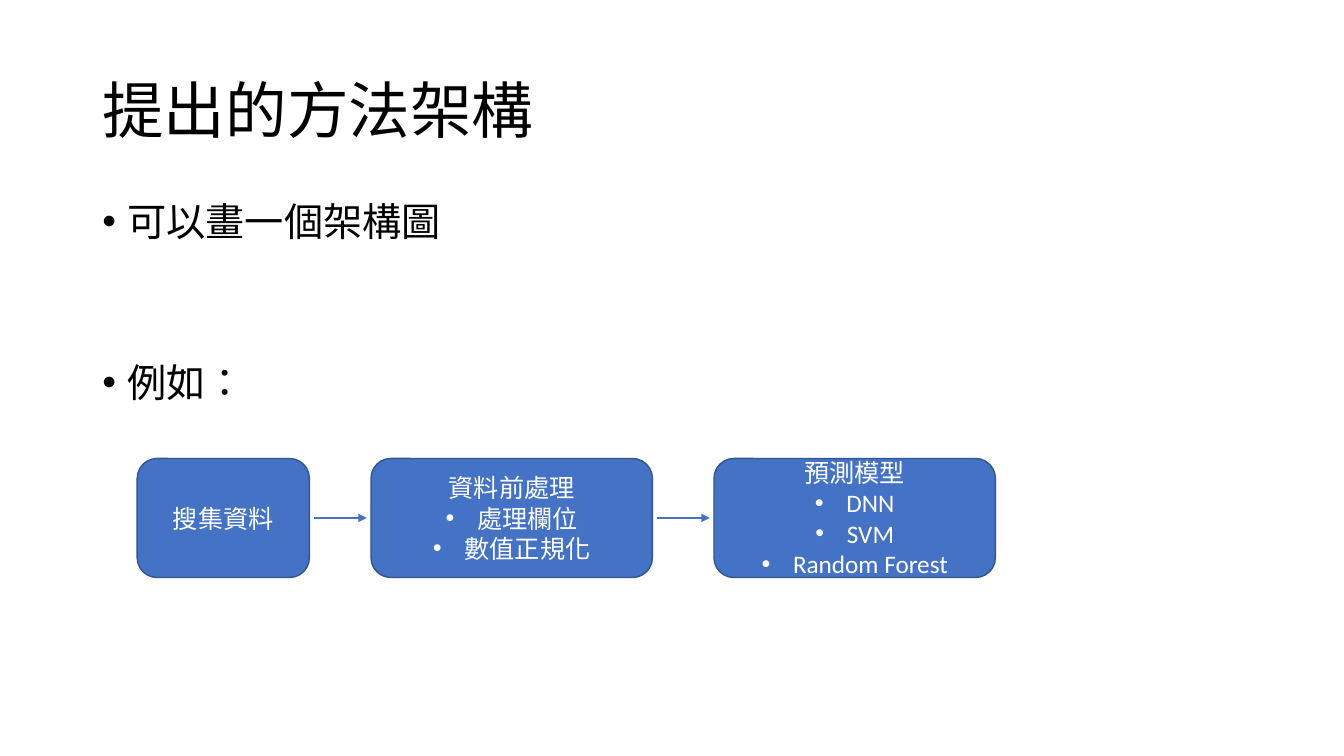
from dataclasses import dataclass

from lxml.etree import SubElement
from pptx import Presentation
from pptx.dml.color import RGBColor
from pptx.enum.shapes import MSO_CONNECTOR as Connector, MSO_SHAPE as Preset
from pptx.enum.text import MSO_ANCHOR as Anchor, PP_ALIGN as Align
from pptx.oxml.ns import qn
from pptx.util import Pt


@dataclass(frozen=True)
class Theme:
    text: RGBColor = RGBColor(0x00, 0x00, 0x00)
    step_text: RGBColor = RGBColor(0xFF, 0xFF, 0xFF)
    step_fill: RGBColor = RGBColor(0x44, 0x72, 0xC4)
    step_line: RGBColor = RGBColor(0x32, 0x54, 0x91)
    heading_font: str = "Noto Sans CJK TC"
    step_font: str = "Calibri"
    title_size: int = 44
    body_size: int = 28
    step_size: int = 18


THEME = Theme()

STEPS = [
    (123, "搜集資料", []),
    (201, "資料前處理", ["處理欄位", "數值正規化"]),
    (201, "預測模型", ["DNN", "SVM", "Random Forest"]),
]
FLOW_LEFT, FLOW_TOP = 98, 327.5
STEP_HEIGHT, STEP_GAP, ARROW_MARGIN = 85, 44, 3


def style_text(para, font_name, size, color):
    """Format every run, using one font for Latin and East Asian text."""
    for span in para.runs:
        span.font.name = font_name
        span.font.size = Pt(size)
        span.font.color.rgb = color
        properties = span.font._element
        properties.set("lang", "zh-TW")
        east_asian = SubElement(properties, qn("a:ea"))
        east_asian.set("typeface", font_name)


def add_bullet(para, indent):
    properties = para._p.get_or_add_pPr()
    properties.set("marL", str(Pt(indent)))
    properties.set("indent", str(-Pt(indent)))
    SubElement(properties, qn("a:buFont")).set("typeface", "Arial")
    SubElement(properties, qn("a:buChar")).set("char", "•")


def add_text_box(page, top, height, lines, anchor):
    box = page.shapes.add_textbox(Pt(66), Pt(top), Pt(828), Pt(height))
    frame = box.text_frame
    frame.word_wrap = True
    frame.vertical_anchor = anchor
    frame.text = "\n".join(lines)
    return frame.paragraphs


def add_title(page, text):
    para, = add_text_box(page, 28.8, 104.4, [text], Anchor.MIDDLE)
    para.line_spacing = 0.9
    style_text(para, THEME.heading_font, THEME.title_size, THEME.text)


def add_body(page, lines, gap):
    paras = add_text_box(page, 144, 342.7, lines, Anchor.TOP)
    for index, para in enumerate(paras):
        para.line_spacing = 0.8
        para.space_before = Pt(gap if index else 0)
        add_bullet(para, 18)
        style_text(para, THEME.heading_font, THEME.body_size, THEME.text)


def add_step(page, left, width, heading, items):
    step = page.shapes.add_shape(
        Preset.ROUNDED_RECTANGLE, Pt(left), Pt(FLOW_TOP), Pt(width), Pt(STEP_HEIGHT)
    )
    step.shadow.inherit = False
    step.fill.solid()
    step.fill.fore_color.rgb = THEME.step_fill
    step.line.color.rgb = THEME.step_line
    step.line.width = Pt(1)
    frame = step.text_frame
    frame.word_wrap = True
    frame.vertical_anchor = Anchor.MIDDLE
    frame.text = "\n".join([heading, *items])
    for index, para in enumerate(frame.paragraphs):
        para.alignment = Align.CENTER
        if index:
            add_bullet(para, 22.5)
        style_text(para, THEME.step_font, THEME.step_size, THEME.step_text)


def add_arrow(page, start, end):
    middle = Pt(FLOW_TOP + STEP_HEIGHT / 2)
    arrow = page.shapes.add_connector(
        Connector.STRAIGHT, Pt(start), middle, Pt(end), middle
    )
    arrow.line.color.rgb = THEME.step_fill
    arrow.line.width = Pt(1.5)
    SubElement(arrow.line._get_or_add_ln(), qn("a:tailEnd")).set("type", "triangle")
    SubElement(arrow._element.spPr, qn("a:effectLst"))


def add_flow(page, steps):
    left = FLOW_LEFT
    for index, (width, heading, items) in enumerate(steps):
        if index:
            add_arrow(page, left - STEP_GAP + ARROW_MARGIN, left - ARROW_MARGIN)
        add_step(page, left, width, heading, items)
        left += width + STEP_GAP


def main():
    deck = Presentation()
    deck.slide_width, deck.slide_height = Pt(960), Pt(540)
    page = deck.slides.add_slide(deck.slide_layouts[6])
    add_title(page, "提出的方法架構")
    add_body(page, ["可以畫一個架構圖", "例如："], gap=88)
    add_flow(page, STEPS)
    deck.save("out.pptx")


if __name__ == "__main__":
    main()
